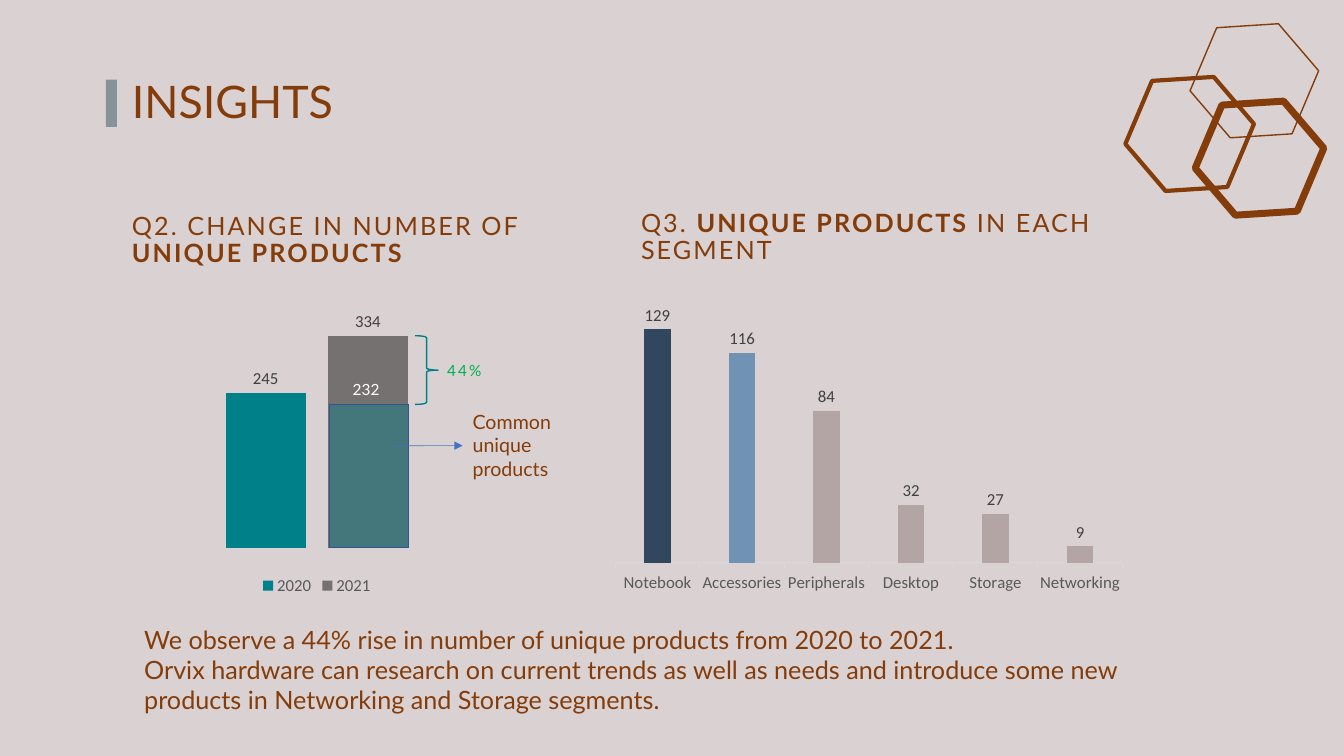
"""Build the Insights slide: unique products by year and by segment."""
from dataclasses import dataclass
from typing import NamedTuple, Optional

from lxml import etree
from pptx import Presentation
from pptx import util as u
from pptx.chart import data as chart_data
from pptx.dml.color import RGBColor
from pptx.enum import chart as ch
from pptx.enum import shapes as sh
from pptx.enum import text as tx
from pptx.oxml import ns, parse_xml


@dataclass(frozen=True)
class Theme:
    background: str = "DAD2D2"
    ink: str = "843C0B"
    accent_bar: str = "395B64"
    teal: str = "00818A"
    grey: str = "767171"
    growth: str = "00B050"
    white: str = "FFFFFF"
    overlap_line: str = "325491"
    arrow: str = "4472C4"
    navy: str = "30475E"
    sky: str = "6F92B5"
    taupe: str = "B4A5A5"
    label: str = "404040"
    axis_text: str = "595959"
    axis_line: str = "D9D9D9"
    text_font: str = "Lato"
    chart_font: str = "Calibri"
    title_size: float = 32
    body_size: float = 18
    callout_size: float = 14
    chart_size: float = 12
    small_size: float = 11


THEME = Theme()


class Box(NamedTuple):
    left: float
    top: float
    width: float
    height: float

    def cm(self) -> list:
        return [u.Cm(length) for length in self]


class Words(NamedTuple):
    text: str
    bold: bool = False


class Style(NamedTuple):
    size: float
    color: str = THEME.ink
    tracking: float = 0
    line_spacing: Optional[float] = None
    anchor: tx.MSO_ANCHOR = tx.MSO_ANCHOR.TOP


class Outline(NamedTuple):
    preset: sh.MSO_SHAPE
    box: Box
    line: Optional[str] = None
    weight: float = 0
    rotation: float = 0
    fill: Optional[str] = None
    opacity: int = 100


class Columns(NamedTuple):
    box: Box
    plot: tuple
    categories: list
    series: dict
    maximum: float
    colors: list


HEADING = Style(THEME.body_size, tracking=1.5, line_spacing=0.9, anchor=tx.MSO_ANCHOR.BOTTOM)
TITLE = Style(THEME.title_size, line_spacing=0.9, anchor=tx.MSO_ANCHOR.BOTTOM)

HEXAGONS = [
    Outline(sh.MSO_SHAPE.HEXAGON, Box(left, top, 3.12, 2.79), THEME.ink, weight, 112.9)
    for left, top, weight in [(28.42, 1.98, 3), (30.05, 0.64, 1), (30.18, 2.59, 5)]
]
TITLE_BAR = Outline(sh.MSO_SHAPE.RECTANGLE, Box(2.67, 2.01, 0.28, 1.19),
                    fill=THEME.accent_bar, opacity=52)
GROWTH_BRACE = Outline(sh.MSO_SHAPE.LEFT_BRACE, Box(10.46, 8.46, 0.58, 1.73), THEME.teal, 1, 180)
COMMON_PART = Outline(sh.MSO_SHAPE.RECTANGLE, Box(8.31, 10.19, 1.98, 3.61),
                      THEME.overlap_line, 1, fill=THEME.teal, opacity=42)

YEARLY = Columns(Box(3.07, 7.01, 9.83, 8.1), (0.04, 0.05, 0.92, 0.79), ["1"],
                 {"2020": [245], "2021": [334]}, 400, [THEME.teal, THEME.grey])
SEGMENTS = Columns(Box(15.24, 7.65, 13.31, 7.42), (0.02, 0.02, 0.96, 0.86),
                   ["Notebook", "Accessories", "Peripherals", "Desktop", "Storage", "Networking"],
                   {"Series 1": [129, 116, 84, 32, 27, 9]}, 140,
                   [THEME.navy, THEME.sky] + [THEME.taupe] * 4)


def rgb(color: str) -> RGBColor:
    return RGBColor.from_string(color)


def write(holder, box: Box, paragraphs: list, style: Style):
    """Place a text holder and fill it with formatted paragraphs."""
    holder.left, holder.top, holder.width, holder.height = box.cm()
    frame = holder.text_frame
    frame.word_wrap = True
    frame.auto_size = tx.MSO_AUTO_SIZE.NONE
    frame.vertical_anchor = style.anchor
    for index, words in enumerate(paragraphs):
        paragraph = frame.add_paragraph() if index else frame.paragraphs[0]
        paragraph.alignment = tx.PP_ALIGN.LEFT
        paragraph.space_before = u.Pt(0)
        paragraph.line_spacing = style.line_spacing or 1.0
        properties = paragraph._p.get_or_add_pPr()
        properties.set("marL", "0")
        properties.set("indent", "0")
        etree.SubElement(properties, ns.qn("a:buNone"))
        for part in words:
            run = paragraph.add_run()
            run.text = part.text
            run.font.name, run.font.size = THEME.text_font, u.Pt(style.size)
            run.font.bold = part.bold
            run.font.color.rgb = rgb(style.color)
            if style.tracking:
                run._r.get_or_add_rPr().set("spc", str(int(style.tracking * 100)))
    return holder


def add_note(slide, box: Box, text: str, style: Style):
    return write(slide.shapes.add_textbox(*box.cm()), box, [[Words(text)]], style)


def add_outline(slide, outline: Outline) -> None:
    shape = slide.shapes.add_shape(outline.preset, *outline.box.cm())
    shape.shadow.inherit = False
    shape.rotation = outline.rotation
    if outline.fill:
        shape.fill.solid()
        shape.fill.fore_color.rgb = rgb(outline.fill)
        tint = shape._element.spPr.find(ns.qn("a:solidFill")).find(ns.qn("a:srgbClr"))
        etree.SubElement(tint, ns.qn("a:alpha"), val=str(outline.opacity * 1000))
    else:
        shape.fill.background()
    if outline.line:
        shape.line.color.rgb = rgb(outline.line)
        shape.line.width = u.Pt(outline.weight)
    else:
        shape.line.fill.background()


def set_chart_font(font, color: str) -> None:
    font.name, font.size = THEME.chart_font, u.Pt(THEME.chart_size)
    font.color.rgb = rgb(color)


def add_columns(slide, columns: Columns):
    """Draw a clustered column chart with values above its columns."""
    data = chart_data.CategoryChartData()
    data.categories = columns.categories
    for name, values in columns.series.items():
        data.add_series(name, values)
    chart = slide.shapes.add_chart(ch.XL_CHART_TYPE.COLUMN_CLUSTERED, *columns.box.cm(), data).chart
    chart.has_title = chart.has_legend = False
    set_chart_font(chart.font, THEME.axis_text)
    chart.value_axis.minimum_scale, chart.value_axis.maximum_scale = 0, columns.maximum
    chart.value_axis.has_major_gridlines = False
    chart.value_axis.visible = False
    plot = chart.plots[0]
    plot.gap_width, plot.overlap, plot.vary_by_categories = 219, -27, False
    plot.has_data_labels = True
    plot.data_labels.show_value = True
    plot.data_labels.position = ch.XL_LABEL_POSITION.OUTSIDE_END
    set_chart_font(plot.data_labels.font, THEME.label)
    one_series = len(plot.series) == 1
    bars = [plot.series[0].points[i] for i in range(len(columns.colors))] if one_series else plot.series
    for bar, color in zip(bars, columns.colors):
        bar.format.fill.solid()
        bar.format.fill.fore_color.rgb = rgb(color)
    area = chart._chartSpace.chart.plotArea
    for layout in area.findall(ns.qn("c:layout")):
        area.remove(layout)
    sizes = "".join(f'<c:{tag} val="{size}"/>' for tag, size in zip("xywh", columns.plot))
    area.insert(0, parse_xml(
        f'<c:layout {ns.nsdecls("c")}><c:manualLayout><c:layoutTarget val="inner"/>'
        f'<c:xMode val="edge"/><c:yMode val="edge"/>{sizes}</c:manualLayout></c:layout>'))
    return chart


def add_arrow(slide, left: float, top: float, target) -> None:
    arrow = slide.shapes.add_connector(sh.MSO_CONNECTOR.STRAIGHT, u.Cm(left), u.Cm(top),
                                       target.left, u.Cm(top))
    arrow.end_connect(target, 1)
    arrow.line.color.rgb = rgb(THEME.arrow)
    arrow.line.width = u.Pt(0.5)
    etree.SubElement(arrow.line._get_or_add_ln(), ns.qn("a:tailEnd"), type="triangle")
    etree.SubElement(arrow._element.spPr, ns.qn("a:effectLst"))


def main() -> None:
    deck = Presentation()
    deck.slide_width, deck.slide_height = u.Cm(33.87), u.Cm(19.05)
    slide = deck.slides.add_slide(deck.slide_layouts[4])
    slide.background.fill.solid()
    slide.background.fill.fore_color.rgb = rgb(THEME.background)
    title, change, takeaways, segment, spare = list(slide.placeholders)[:5]
    for unused in [spare, *list(slide.placeholders)[5:]]:
        unused._element.getparent().remove(unused._element)

    for hexagon in HEXAGONS:
        add_outline(slide, hexagon)
    write(title, Box(3.07, 1.4, 10.44, 1.96), [[Words("INSIGHTS")]], TITLE)
    add_outline(slide, TITLE_BAR)
    write(change, Box(3.07, 5.54, 11.3, 1.35),
          [[Words("Q2. CHANGE IN NUMBER OF "), Words("UNIQUE PRODUCTS", True)]], HEADING)
    write(segment, Box(15.9, 5.46, 13.44, 1.35),
          [[Words("Q3. "), Words("UNIQUE PRODUCTS ", True), Words("IN EACH SEGMENT")]], HEADING)
    write(takeaways, Box(3.38, 15.6, 26.37, 2.57), [
        [Words("We observe a 44% rise in number of unique products from 2020 to 2021.")],
        [Words("Orvix hardware can research on current trends as well as needs and introduce "
               "some new products in Networking and Storage segments.")],
    ], Style(THEME.body_size))

    yearly = add_columns(slide, YEARLY)
    yearly.category_axis.visible = False
    yearly.has_legend = True
    yearly.legend.position = ch.XL_LEGEND_POSITION.BOTTOM
    yearly.legend.include_in_layout = False
    set_chart_font(yearly.legend.font, THEME.axis_text)
    segments = add_columns(slide, SEGMENTS)
    segments.category_axis.major_tick_mark = ch.XL_TICK_MARK.OUTSIDE
    segments.category_axis.format.line.color.rgb = rgb(THEME.axis_line)
    segments.category_axis.format.line.width = u.Pt(0.75)

    add_outline(slide, GROWTH_BRACE)
    add_note(slide, Box(11.02, 8.97, 2.16, 0.74), "44%",
             Style(THEME.small_size, THEME.growth, tracking=1.5))
    add_outline(slide, COMMON_PART)
    common = add_note(slide, Box(11.66, 10.2, 2.62, 2.06), "Common unique products",
                      Style(THEME.callout_size))
    add_arrow(slide, 9.88, 11.23, common)
    add_note(slide, Box(8.64, 9.45, 1.27, 0.74), "232", Style(THEME.small_size, THEME.white))
    deck.save("out.pptx")


if __name__ == "__main__":
    main()
